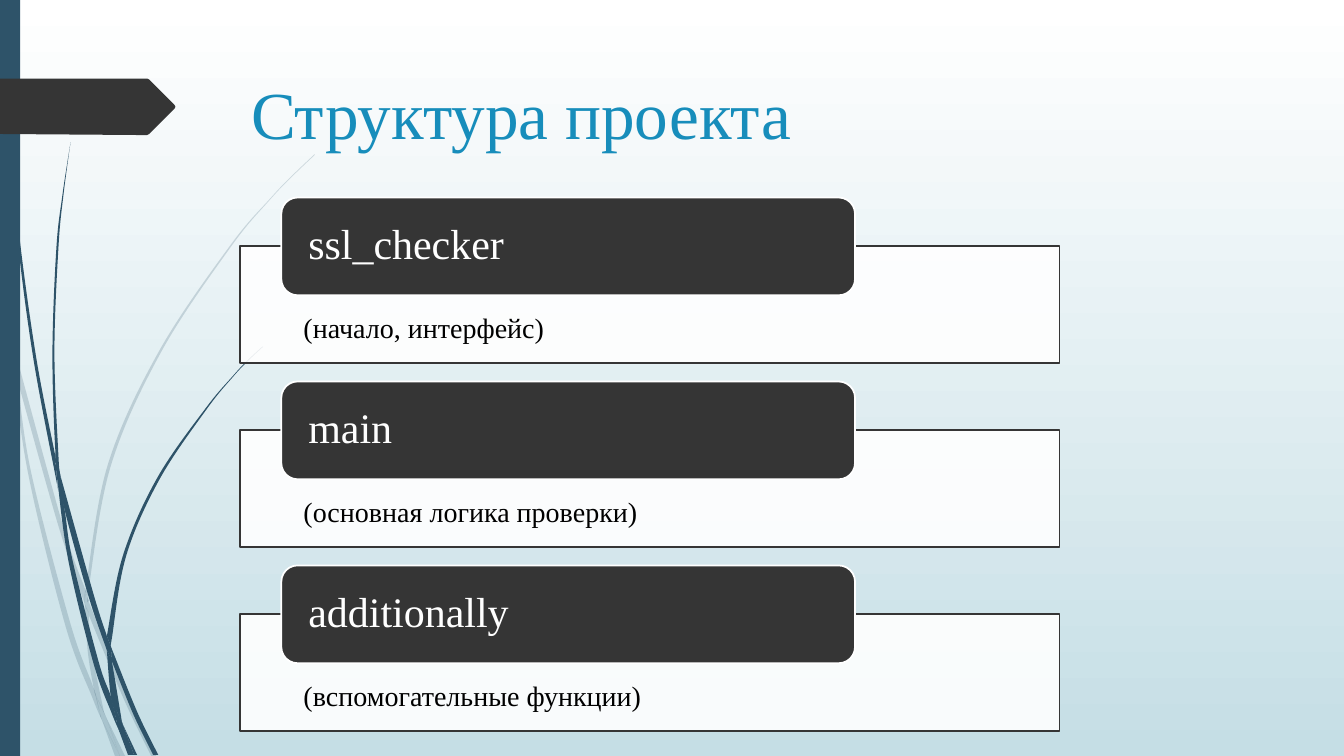
from lxml.etree import SubElement
from pptx import Presentation
from pptx.dml.color import RGBColor
from pptx.enum.shapes import MSO_SHAPE as Shape
from pptx.enum.text import MSO_ANCHOR as Anchor, PP_ALIGN as Align
from pptx.oxml.ns import qn
from pptx.util import Inches, Pt

TITLE = "Структура проекта"
MODULES = [
    ("ssl_checker", "(начало, интерфейс)"),
    ("main", "(основная логика проверки)"),
    ("additionally", "(вспомогательные функции)"),
]
WIDTH, HEIGHT = 13.33, 7.5
FONT = "Times New Roman"
WHITE, BLACK, DARK, BLUE, SKY, MIST = "FFFFFF", "000000", "353535", "2E5369", "178DBB", "C5DEE5"
LEFT, FIRST_ROW, ROW_STEP = 2.38, 1.96, 1.825
PANEL_SIZE, TAB_SIZE = (8.13, 1.16), (5.69, 0.97)
TAB_SHIFT, PANEL_DROP = 0.41, 0.48
TITLE_STYLE = {"size": 48, "color": SKY, "insets": (0.11, 0.06, 0.1, 0.05)}
TAB_STYLE = {"size": 30, "color": WHITE, "insets": (0.22, 0, 0.22, 0),
             "anchor": Anchor.MIDDLE, "spacing": 0.9}
PANEL_STYLE = {"size": 20, "color": BLACK, "insets": (0.63, 0.68, 0.63, 0.16), "spacing": 0.9}
UNITS = 1000

# Each piece of grass: edge running out, edge running back
PALE_GRASS = [
    ([(0, 2.82), (0.09, 3.22), (0.11, 3.5)], [(0.1, 3.44), (0, 2.99)]),
    ([(0.14, 3.45), (0.62, 5.2), (0.85, 5.86)], [(0.84, 5.99), (0.58, 5.22), (0.17, 3.76)]),
    ([(0.88, 5.96), (0.92, 6.07), (1.27, 6.92), (1.55, 7.5)],
     [(1.5, 7.5), (1.23, 6.94), (0.88, 6.1)]),
    ([(1.05, 7.11), (1.24, 7.5)], [(1.19, 7.5)]),
    ([(0.11, 3.5), (0.17, 3.76), (0.31, 4.69), (0.7, 6.19), (0.93, 6.83), (0.99, 7.07)],
     [(1.01, 7.14), (0.92, 6.93), (0.65, 6.21), (0.28, 4.7), (0.11, 3.5)]),
    ([(0.88, 6.08), (0.88, 6.1), (0.91, 6.46), (1.03, 7.06)],
     [(1.05, 7.11), (0.96, 6.92), (0.93, 6.83), (0.87, 6.46), (0.84, 5.99)]),
    ([(3.12, 1.53), (2.89, 1.75), (2.68, 1.97), (2.28, 2.44), (1.58, 3.48), (1.07, 4.61),
      (0.85, 5.84), (0.85, 5.86)],
     [(0.88, 5.96), (0.88, 5.84), (1.1, 4.62), (1.6, 3.49), (2.29, 2.45), (2.68, 1.98),
      (2.9, 1.75), (3.12, 1.54)]),
    ([(1.01, 7.14), (1.14, 7.5)], [(1.19, 7.5)]),
    ([(0.88, 6.1), (0.88, 5.96)], [(0.85, 5.86), (0.84, 5.99), (0.88, 6.08)]),
    ([(0.93, 6.83), (0.99, 7.07), (1.01, 7.14), (1.19, 7.5)],
     [(1.19, 7.5), (1.05, 7.11), (0.96, 6.92)]),
]
DARK_GRASS = [
    ([(0.03, 0), (0.04, 0.48), (0.07, 1.1), (0.17, 2.33), (0.33, 3.55), (0.56, 4.77),
      (0.57, 4.81)],
     [(0.55, 4.57), (0.55, 4.53), (0.36, 3.55), (0.19, 2.32), (0.08, 1.09), (0.05, 0.48),
      (0.04, 0)]),
    ([(0.6, 4.72), (0.64, 5.05), (0.88, 5.92), (1.06, 6.45)],
     [(1.06, 6.33), (1.06, 6.31), (0.93, 5.9), (0.6, 4.72)]),
    ([(1.1, 6.41), (1.13, 6.49), (1.36, 7.06), (1.57, 7.49)],
     [(1.52, 7.49), (1.32, 7.08), (1.11, 6.56)]),
    ([(0.57, 4.77), (0.68, 5.57), (0.93, 6.59), (1.11, 7.08), (1.17, 7.22)],
     [(1.16, 7.17), (1.1, 6.91), (0.98, 6.57), (0.72, 5.56), (0.64, 5.05), (0.57, 4.77)]),
    ([(0.7, 1.41), (0.62, 1.93), (0.56, 2.45), (0.52, 3.49), (0.55, 4.49), (0.6, 4.72)],
     [(0.6, 4.72), (0.58, 4.53), (0.54, 3.49), (0.58, 2.45), (0.63, 1.93), (0.7, 1.41)]),
    ([(1.22, 7.19), (1.33, 7.49)], [(1.36, 7.49)]),
    ([(0.55, 4.49), (0.6, 4.72)], [(0.64, 5.05), (0.57, 4.77), (0.55, 4.53)]),
    ([(2.6, 3.44), (2.45, 3.58), (2.31, 3.73), (2.04, 4.05), (1.56, 4.74), (1.22, 5.51),
      (1.06, 6.31)],
     [(1.1, 6.41), (1.11, 6.33), (1.25, 5.52), (1.58, 4.76), (2.05, 4.06), (2.31, 3.74),
      (2.45, 3.59), (2.61, 3.44)]),
    ([(1.17, 7.22), (1.27, 7.49)], [(1.31, 7.49)]),
    ([(1.06, 6.45), (1.1, 6.91), (1.16, 7.06), (1.22, 7.19)],
     [(1.21, 7.16), (1.11, 6.56), (1.09, 6.51)]),
    ([(1.06, 6.31), (1.06, 6.45)], [(1.09, 6.51), (1.11, 6.56), (1.1, 6.41)]),
    ([(1.1, 6.91), (1.16, 7.17), (1.17, 7.22), (1.3, 7.49)],
     [(1.33, 7.49), (1.22, 7.19), (1.16, 7.06)]),
]
ARROW = [(0, 0.78), (1.46, 0.78), (1.48, 0.79), (1.73, 1.04), (1.74, 1.06), (1.73, 1.08),
         (1.48, 1.33), (1.46, 1.34), (1.36, 1.34), (0, 1.33)]


def rgb(color):
    return RGBColor.from_string(color)


def paint(shape, fill, opacity=100, line=None):
    shape.shadow.inherit = False
    shape.fill.solid()
    shape.fill.fore_color.rgb = rgb(fill)
    if opacity < 100:
        color = shape.fill._xPr.find(".//" + qn("a:srgbClr"))
        SubElement(color, qn("a:alpha"), val=str(opacity * 1000))
    if line:
        shape.line.color.rgb = rgb(line)
        shape.line.width = Pt(1.25)
    else:
        shape.line.fill.background()


def outline(page, points, fill, opacity=100):
    whole = [(round(x * UNITS), round(y * UNITS)) for x, y in points]
    builder = page.shapes.build_freeform(*whole[0], scale=Inches(1) / UNITS)
    builder.add_line_segments(whole[1:])
    shape = builder.convert_to_shape()
    paint(shape, fill, opacity)
    return shape


def bend(shape, turn):
    """Curve every segment smoothly, except the one that links the two edges."""
    route = shape._element.find(".//" + qn("a:path"))
    points = [(int(pt.get("x")), int(pt.get("y"))) for pt in route.iter(qn("a:pt"))]
    lines = route.findall(qn("a:lnTo"))
    for end, segment in enumerate(lines, 1):
        if end == turn or end >= len(points):
            continue
        first, last = (0, turn - 1) if end < turn else (turn, len(points) - 1)
        before, after = points[max(first, end - 2)], points[min(last, end + 1)]
        start, stop = points[end - 1], points[end]
        controls = ([a + (c - b) / 6 for a, b, c in zip(start, before, stop)],
                    [a - (c - b) / 6 for a, b, c in zip(stop, start, after)])
        segment.tag = qn("a:cubicBezTo")
        for index, (x, y) in enumerate(controls):
            pt = SubElement(segment, qn("a:pt"), x=str(round(x)), y=str(round(y)))
            segment.insert(index, pt)


def box(page, kind, left, top, size, **look):
    shape = page.shapes.add_shape(kind, *map(Inches, (left, top, *size)))
    paint(shape, **look)
    return shape


def write(shape, text, size, color, insets, anchor=Anchor.TOP, spacing=1):
    frame = shape.text_frame
    sides = ("margin_left", "margin_top", "margin_right", "margin_bottom")
    formats = dict(zip(sides, map(Inches, insets)), word_wrap=True, vertical_anchor=anchor)
    for name, value in formats.items():
        setattr(frame, name, value)
    para = frame.paragraphs[0]
    para.alignment, para.line_spacing = Align.LEFT, spacing
    span = para.add_run()
    span.text = text
    for name, value in {"name": FONT, "size": Pt(size)}.items():
        setattr(span.font, name, value)
    span.font.color.rgb = rgb(color)


def main():
    """Build the project structure slide."""
    deck = Presentation()
    deck.slide_width, deck.slide_height = Inches(WIDTH), Inches(HEIGHT)
    page = deck.slides.add_slide(deck.slide_layouts[6])
    backdrop = page.background.fill
    backdrop.gradient()
    backdrop.gradient_angle = 270
    for stop, color, position in zip(backdrop.gradient_stops, (WHITE, MIST), (0, 1)):
        stop.color.rgb = rgb(color)
        stop.position = position

    for opacity, grass in ((20, PALE_GRASS), (100, DARK_GRASS)):
        for out, back in grass:
            bend(outline(page, out + back, BLUE, opacity), len(out))
    box(page, Shape.RECTANGLE, 0, 0, (0.2, HEIGHT), fill=BLUE)
    outline(page, ARROW, DARK)

    title = page.shapes.add_textbox(*map(Inches, (LEFT, 0.66, 9.75, 1.4)))
    write(title, TITLE, **TITLE_STYLE)
    for row, (name, purpose) in enumerate(MODULES):
        top = FIRST_ROW + row * ROW_STEP
        panel = box(page, Shape.RECTANGLE, LEFT, top + PANEL_DROP, PANEL_SIZE,
                    fill=WHITE, opacity=90, line=DARK)
        write(panel, purpose, **PANEL_STYLE)
        tab = box(page, Shape.ROUNDED_RECTANGLE, LEFT + TAB_SHIFT, top, TAB_SIZE,
                  fill=DARK, line=WHITE)
        write(tab, name, **TAB_STYLE)
    deck.save("out.pptx")


if __name__ == "__main__":
    main()
